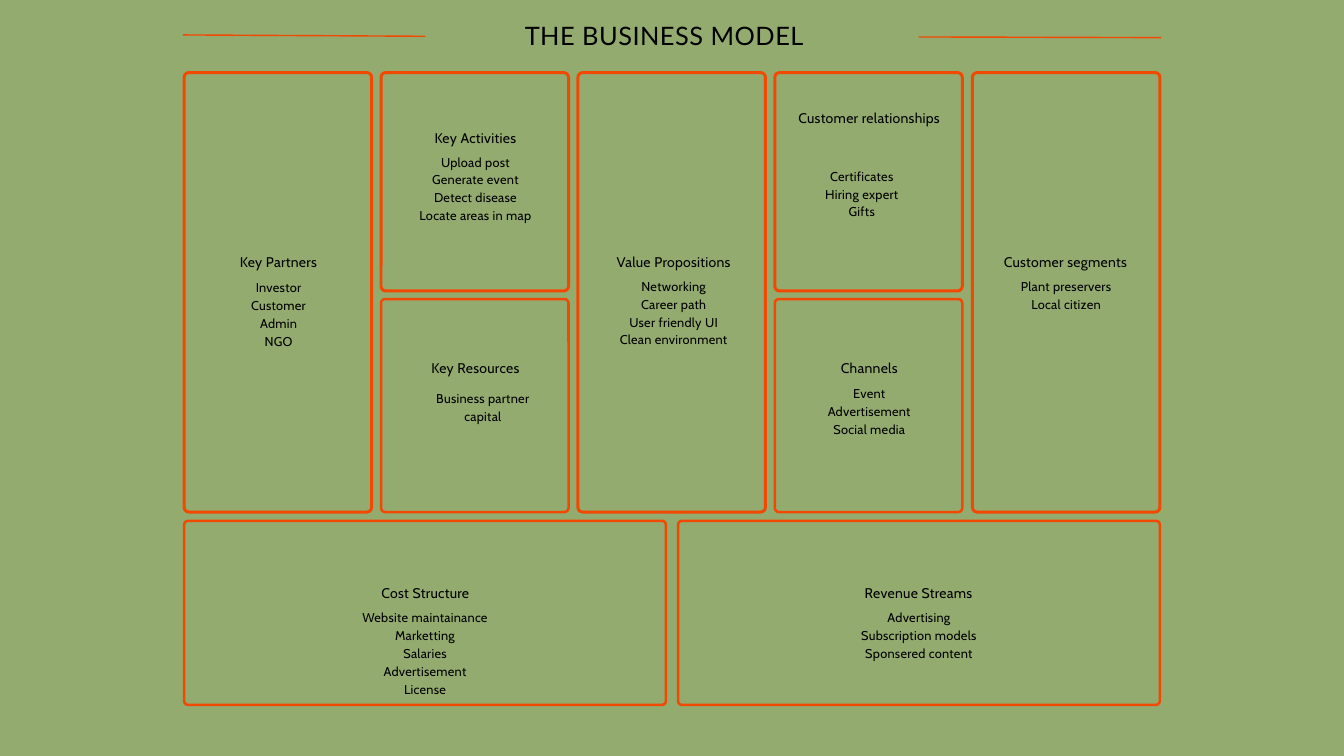
from pptx import Presentation
from pptx.dml.color import RGBColor
from pptx.enum.shapes import MSO_CONNECTOR, MSO_SHAPE
from pptx.enum.text import MSO_AUTO_SIZE, PP_ALIGN
from pptx.util import Emu, Pt
from lxml import etree

PX = 9144  # 100 px to the inch
COLORS = {"back": "94AB6F", "frame": "F14902", "text": "000000"}
A = "http://schemas.openxmlformats.org/drawingml/2006/main"


def px(n):
    return Emu(int(n * PX))


def rgb(name):
    return RGBColor.from_string(COLORS[name])


class Canvas:
    # size, line spacing, letter spacing (1/100 pt), font
    STYLES = {
        "title": (27.2, 38.1, 50, "Lato"),
        "head": (15, 21.1, 30, "Cabin"),
        "body": (13.7, 19.1, 30, "Cabin"),
    }

    def __init__(self, prs):
        self.s = prs.slides.add_slide(prs.slide_layouts[6])
        fill = self.s.background.fill
        fill.solid()
        fill.fore_color.rgb = rgb("back")

    def frame(self, x, y, w, h, weight, radius):
        """Rounded outline; the stroke stays inside the given bounds."""
        sp = self.s.shapes.add_shape(MSO_SHAPE.ROUNDED_RECTANGLE,
                                     px(x + 2), px(y + 2), px(w - 4), px(h - 4))
        sp.adjustments[0] = radius / min(w - 4, h - 4)
        sp.shadow.inherit = False
        sp.fill.background()
        sp.line.color.rgb = rgb("frame")
        sp.line.width = Pt(weight)

    def rule(self, x1, y1, x2, y2):
        ln = self.s.shapes.add_connector(MSO_CONNECTOR.STRAIGHT,
                                         px(x1), px(y1), px(x2), px(y2))
        ln.line.color.rgb = rgb("frame")
        ln.line.width = Pt(1.5)
        etree.SubElement(ln._element.spPr, f"{{{A}}}effectLst")

    def text(self, x, y, w, h, lines, style):
        size, spacing, tracking, font = self.STYLES[style]
        tf = self.s.shapes.add_textbox(px(x), px(y), px(w), px(h)).text_frame
        tf.margin_left = tf.margin_right = tf.margin_top = tf.margin_bottom = 0
        tf.word_wrap = True
        tf.auto_size = MSO_AUTO_SIZE.SHAPE_TO_FIT_TEXT
        tf.text = "\n".join(lines)
        for p in tf.paragraphs:
            p.alignment = PP_ALIGN.CENTER
            p.line_spacing = Pt(spacing)
            for r in p.runs:
                r.font.size = Pt(size)
                r.font.name = font
                r.font.color.rgb = rgb("text")
                r._r.get_or_add_rPr().set("spc", str(tracking))


LEFT, RIGHT, COL_W = 272, 1728, 283
COLS = [LEFT + (RIGHT - COL_W - LEFT) * i // 4 for i in range(5)]
HALF_W = 721
THICK, THIN = (3.2, 7), (2.7, 6)  # line weight, corner radius

# Frames: x, y, w, h, stroke
FRAMES = [
    *[(COLS[i], 106, COL_W, 658, THICK) for i in (0, 2, 4)],
    *[(COLS[i], 106, COL_W, 329, THICK) for i in (1, 3)],
    *[(COLS[i], 443, COL_W, 321, THIN) for i in (1, 3)],
    *[(x, 773, HALF_W, 278, THIN) for x in (LEFT, RIGHT - HALF_W)],
]

# Blocks: heading, its x, y, w; items, their x, y, w
BLOCKS = [
    ("Key Partners", 300, 373, 229,
     ["Investor", "Customer", "Admin", "NGO"], 300, 413, 229),
    ("Key Activities", 593, 188, 229,
     ["Upload post", "Generate event", "Detect disease", "Locate areas in map"],
     593, 226, 229),
    ("Key Resources", 593, 531, 229,
     ["Business partner", "capital"], 615, 578, 207),
    ("Value Propositions", 888, 373, 229,
     ["Networking", "Career path", "User friendly UI", "Clean environment"],
     899, 411, 207),
    ("Customer relationships", 1179, 159, 229,
     ["Certificates", "Hiring expert", "Gifts"], 1179, 247, 207),
    ("Channels", 1179, 531, 229,
     ["Event", "Advertisement", "Social media"], 1179, 571, 229),
    ("Customer segments", 1463, 373, 245,
     ["Plant preservers", "Local citizen"], 1472, 411, 229),
    ("Cost Structure", 365, 865, 536,
     ["Website maintainance", "Marketting", "Salaries", "Advertisement", "License"],
     337, 904, 591),
    ("Revenue Streams", 1099, 865, 536,
     ["Advertising", "Subscription models", "Sponsered content"], 1072, 904, 591),
]


def main():
    prs = Presentation()
    prs.slide_width, prs.slide_height = px(2000), px(1125)
    canvas = Canvas(prs)

    # Canvas frames
    for x, y, w, h, stroke in FRAMES:
        canvas.frame(x, y, w, h, *stroke)

    # Title between two rules
    canvas.rule(1367, 55, RIGHT, 56)
    canvas.rule(LEFT, 52, 633, 54)
    canvas.text(640, 22, 697, 52, ["THE BUSINESS MODEL"], "title")

    # Headings and items
    for head, hx, hy, hw, items, x, y, w in BLOCKS:
        canvas.text(hx, hy, hw, 27, [head], "head")
        canvas.text(x, y, w, 25.5 * len(items), items, "body")

    prs.save("out.pptx")


if __name__ == "__main__":
    main()
